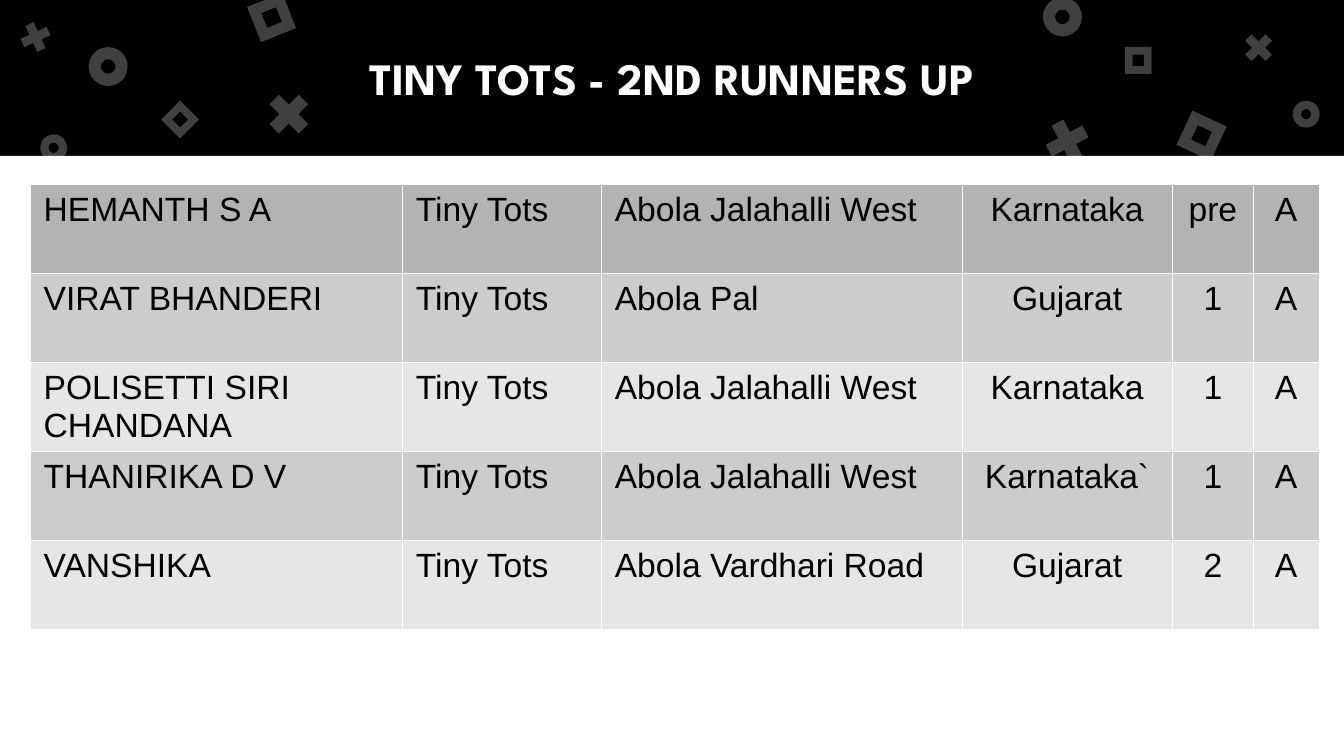
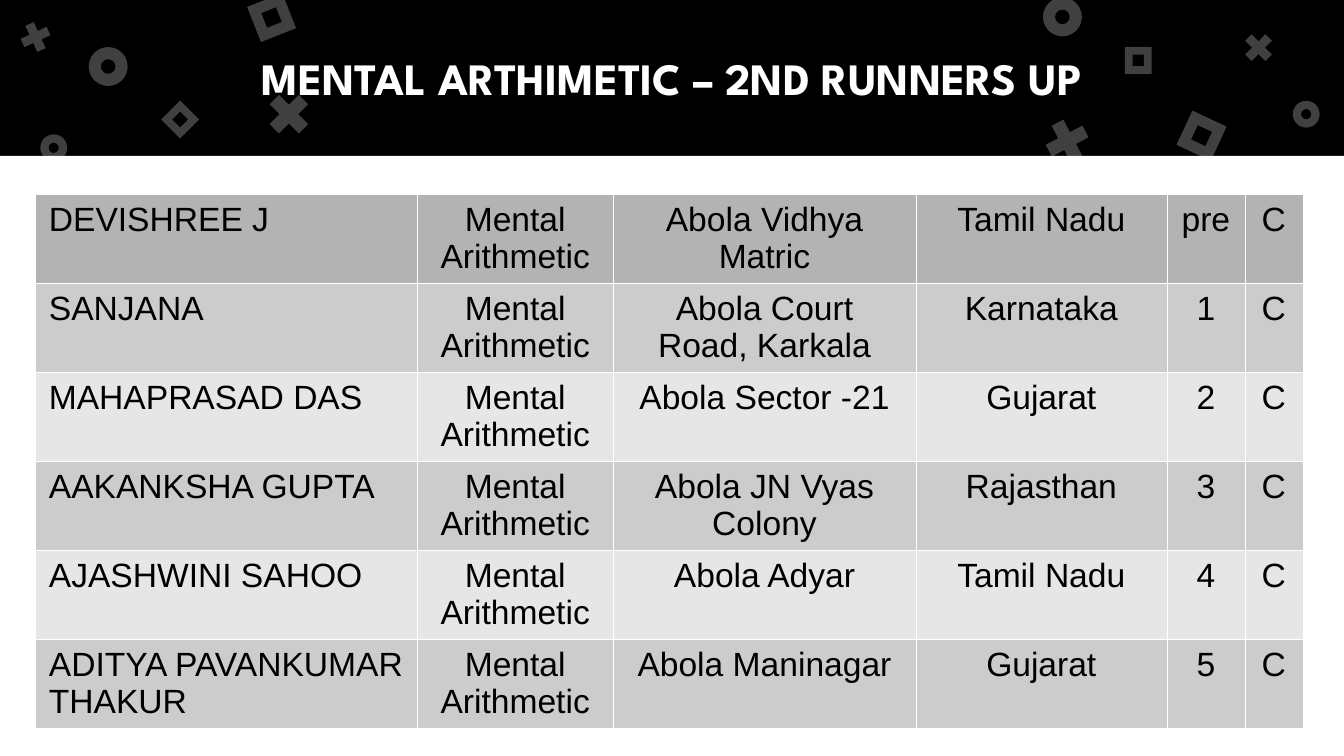
import pptx
import pptx.dml.color
import pptx.enum.shapes
import pptx.enum.text
import pptx.oxml.ns
import pptx.util
from lxml import etree

Pt = pptx.util.Pt
SHAPE = pptx.enum.shapes.MSO_SHAPE
ALIGN = pptx.enum.text.PP_ALIGN
ANCHOR = pptx.enum.text.MSO_ANCHOR
qn = pptx.oxml.ns.qn

SLIDE_WIDTH, SLIDE_HEIGHT = 720, 405
BAND_HEIGHT = 83.5
BLACK, WHITE, GREEN = "000000", "FFFFFF", "7BD100"
HEADER_GREY, DARK_GREY, LIGHT_GREY = "B3B3B3", "CCCCCC", "E6E6E6"
TITLE_FONT, BODY_FONT = "League Spartan", "Arial"
ROW_HEIGHT = 47.7
BORDER_WIDTH = 0.06

ADJUSTMENTS = {SHAPE.DONUT: 0.31, SHAPE.MATH_MULTIPLY: 0.235, SHAPE.FRAME: 0.289}

# kind, left, top, size, rotation
CONFETTI = [
    (SHAPE.DONUT, 47.5, 25.2, 20.9, 0),
    (SHAPE.MATH_MULTIPLY, 139.7, 46.1, 30.2, 0),
    (SHAPE.FRAME, 135.4, -0.7, 20.2, 338.4),
    (SHAPE.DONUT, 558.7, -1.4, 20.9, 0),
    (SHAPE.MATH_MULTIPLY, 556.6, 60.5, 30.2, 17.5),
    (SHAPE.FRAME, 633.6, 62.6, 20.2, 25),
    (SHAPE.DONUT, 21.6, 72, 14.4, 0),
    (SHAPE.MATH_MULTIPLY, 8.6, 9.4, 20.9, 20.4),
    (SHAPE.FRAME, 89.3, 56.9, 14.4, 45),
    (SHAPE.DONUT, 692.6, 54, 14.4, 0),
    (SHAPE.MATH_MULTIPLY, 663.8, 15.1, 20.9, 0),
    (SHAPE.FRAME, 602.6, 25.2, 14.4, 0),
]

# name, centre, state, level
TINY_TOTS = [
    ("HEMANTH S A", "Abola Jalahalli West", "Karnataka", "pre"),
    ("VIRAT BHANDERI", "Abola Pal", "Gujarat", "1"),
    ("POLISETTI SIRI CHANDANA", "Abola Jalahalli West", "Karnataka", "1"),
    ("THANIRIKA D V", "Abola Jalahalli West", "Karnataka`", "1"),
    ("VANSHIKA", "Abola Vardhari Road", "Gujarat", "2"),
]
MENTAL_ARITHMETIC = [
    ("DEVISHREE J", "Abola Vidhya Matric", "Tamil Nadu", "pre"),
    ("SANJANA", "Abola Court Road, Karkala", "Karnataka", "1"),
    ("MAHAPRASAD DAS", "Abola Sector -21", "Gujarat", "2"),
    ("AAKANKSHA GUPTA", "Abola JN Vyas Colony", "Rajasthan", "3"),
    ("AJASHWINI SAHOO", "Abola Adyar", "Tamil Nadu", "4"),
    ("ADITYA PAVANKUMAR THAKUR", "Abola Maninagar", "Gujarat", "5"),
]


def paint(fill, color, opacity=100):
    fill.solid()
    fill.fore_color.rgb = pptx.dml.color.RGBColor.from_string(color)
    if opacity < 100:
        color_element = fill._xPr.find(".//" + qn("a:srgbClr"))
        alpha = etree.SubElement(color_element, qn("a:alpha"))
        alpha.set("val", str(opacity * 1000))


def add_plain_shape(slide, kind, left, top, width, height, color, opacity=100):
    shape = slide.shapes.add_shape(kind, Pt(left), Pt(top), Pt(width), Pt(height))
    shape.shadow.inherit = False
    paint(shape.fill, color, opacity)
    shape.line.fill.background()
    return shape


def add_backdrop(slide):
    paint(slide.background.fill, GREEN)
    add_plain_shape(slide, SHAPE.RECTANGLE, 0, 0, SLIDE_WIDTH, BAND_HEIGHT, BLACK)
    add_plain_shape(slide, SHAPE.RECTANGLE, 0, BAND_HEIGHT,
                    SLIDE_WIDTH, SLIDE_HEIGHT - BAND_HEIGHT, WHITE)
    for kind, left, top, size, rotation in CONFETTI:
        piece = add_plain_shape(slide, kind, left, top, size, size, WHITE, 25)
        piece.adjustments[0] = ADJUSTMENTS[kind]
        piece.rotation = rotation


def style_font(font, name, size, color, bold):
    font.name = name
    font.size = Pt(size)
    font.bold = bold
    paint(font.fill, color)


def set_title(slide, text):
    """Fill the title placeholder and bring it in front of the backdrop."""
    title = slide.shapes.title
    title.left, title.top = Pt(36), Pt(0)
    title.width, title.height = Pt(SLIDE_WIDTH - 2 * 36), Pt(BAND_HEIGHT)
    slide.shapes._spTree.append(title._element)
    frame = title.text_frame
    frame.text = text
    frame.word_wrap = True
    frame.auto_size = pptx.enum.text.MSO_AUTO_SIZE.NONE
    frame.vertical_anchor = ANCHOR.MIDDLE
    frame.margin_left = frame.margin_right = Pt(7.2)
    frame.margin_top = frame.margin_bottom = Pt(7.2)
    paragraph = frame.paragraphs[0]
    paragraph.alignment = ALIGN.CENTER
    style_font(paragraph.font, TITLE_FONT, 24, WHITE, True)


def add_borders(cell):
    properties = cell._tc.get_or_add_tcPr()
    for position, side in enumerate(("a:lnL", "a:lnR", "a:lnT", "a:lnB")):
        line = etree.Element(qn(side), w=str(int(Pt(BORDER_WIDTH))))
        fill = etree.SubElement(line, qn("a:solidFill"))
        etree.SubElement(fill, qn("a:srgbClr"), val=WHITE)
        properties.insert(position, line)


def row_color(row):
    if row == 0:
        return HEADER_GREY
    return DARK_GREY if row % 2 else LIGHT_GREY


def fill_cell(cell, text, color, alignment):
    cell.text = text
    cell.margin_left = cell.margin_right = Pt(7.2)
    cell.margin_top = cell.margin_bottom = Pt(3.6)
    paint(cell.fill, color)
    add_borders(cell)
    paragraph = cell.text_frame.paragraphs[0]
    paragraph.alignment = alignment
    style_font(paragraph.font, BODY_FONT, 18, BLACK, False)


def add_winners(slide, left, top, widths, winners, category, group, left_columns):
    """Add the winners' table; its first left_columns columns are left-aligned."""
    table = slide.shapes.add_table(
        len(winners), len(widths), Pt(left), Pt(top),
        Pt(sum(widths)), Pt(ROW_HEIGHT * len(winners))).table
    table.first_row = table.horz_banding = False
    for column, width in zip(table.columns, widths):
        column.width = Pt(width)
    for row, (name, centre, state, level) in enumerate(winners):
        table.rows[row].height = Pt(ROW_HEIGHT)
        for column, text in enumerate((name, category, centre, state, level, group)):
            alignment = ALIGN.LEFT if column < left_columns else ALIGN.CENTER
            fill_cell(table.cell(row, column), text, row_color(row), alignment)


def add_award_slide(deck, title):
    slide = deck.slides.add_slide(deck.slide_layouts[5])
    add_backdrop(slide)
    set_title(slide, title)
    return slide


def main():
    deck = pptx.Presentation()
    deck.slide_width, deck.slide_height = Pt(SLIDE_WIDTH), Pt(SLIDE_HEIGHT)

    tiny_tots = add_award_slide(deck, "TINY TOTS - 2ND RUNNERS UP")
    add_winners(tiny_tots, 16.2, 98.8, (199.4, 106.6, 193, 113, 43.2, 35.3),
                TINY_TOTS, "Tiny Tots", "A", left_columns=3)

    arithmetic = add_award_slide(deck, "MENTAL ARTHIMETIC – 2ND RUNNERS UP")
    add_winners(arithmetic, 19, 104, (204.5, 105.1, 162, 134.6, 41.8, 31),
                MENTAL_ARITHMETIC, "Mental Arithmetic", "C", left_columns=1)

    deck.save("out.pptx")


if __name__ == "__main__":
    main()
